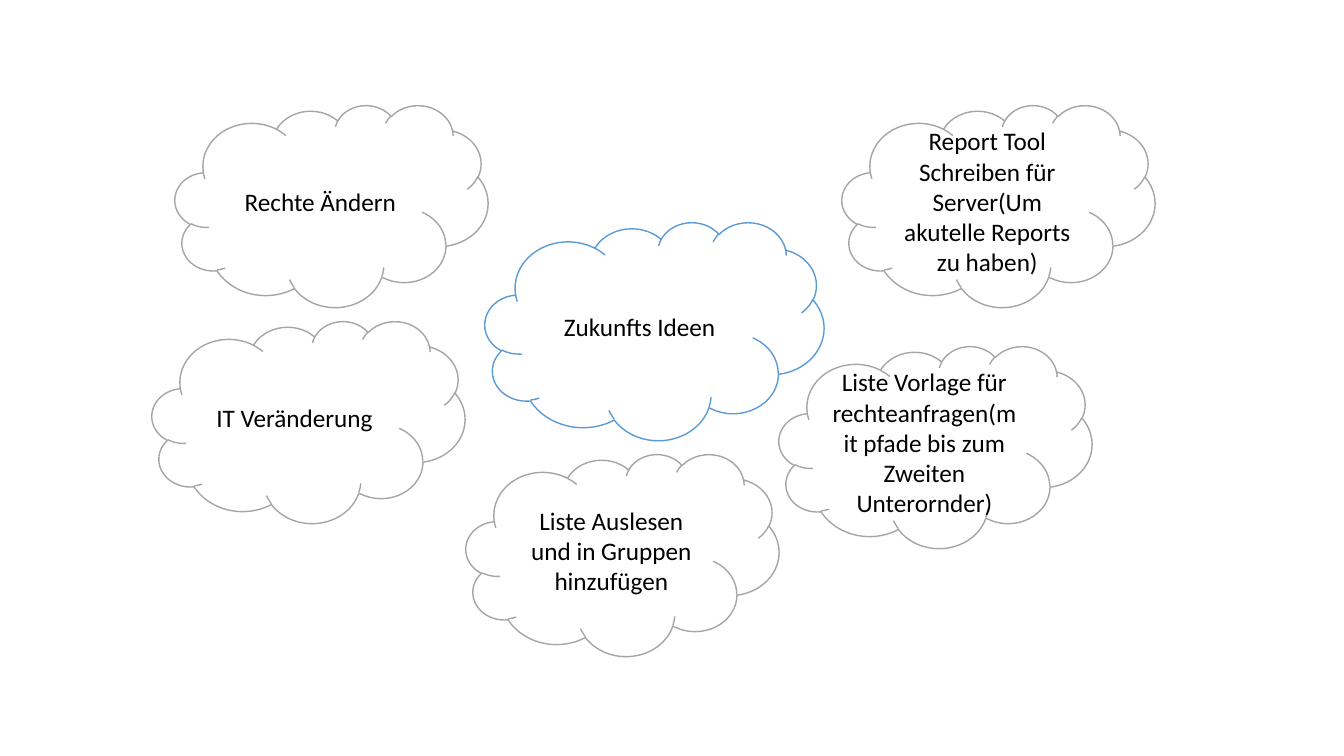
"""Build a slide of idea clouds around a central topic."""
from pptx import Presentation
from pptx.dml.color import RGBColor
from pptx.enum.shapes import MSO_SHAPE
from pptx.enum.text import MSO_ANCHOR, PP_ALIGN
from pptx.util import Pt

PX = 914400 / 100.8
WHITE = RGBColor(0xFF, 0xFF, 0xFF)
BLACK = RGBColor(0x00, 0x00, 0x00)
BLUE = RGBColor(0x5B, 0x9B, 0xD5)
GRAY = RGBColor(0xA5, 0xA5, 0xA5)
TOPIC_SIZE = (339, 218)
IDEA_SIZE = (313, 202)
FONT = {"name": "Calibri", "size": Pt(18)}


def px(n):
    return round(n * PX)


prs = Presentation()
prs.slide_width, prs.slide_height = px(1344), px(756)
s = prs.slides.add_slide(prs.slide_layouts[6])

clouds = [
    (485, 222, TOPIC_SIZE, BLUE, "Zukunfts Ideen "),
    (152, 321, IDEA_SIZE, GRAY, "IT Veränderung "),
    (175, 105, IDEA_SIZE, GRAY, "Rechte Ändern"),
    (466, 454, IDEA_SIZE, GRAY, "Liste Auslesen und in Gruppen hinzufügen"),
    (779, 346, IDEA_SIZE, GRAY,
     "Liste Vorlage für rechteanfragen(mit pfade bis zum Zweiten Unterornder)"),
    (842, 105, IDEA_SIZE, GRAY,
     "Report Tool Schreiben für Server(Um akutelle Reports zu haben)"),
]
for x, y, (w, h), color, text in clouds:
    sp = s.shapes.add_shape(MSO_SHAPE.CLOUD, px(x), px(y), px(w), px(h))
    sp.shadow.inherit = False
    sp.fill.solid()
    sp.fill.fore_color.rgb = WHITE
    sp.line.color.rgb = color
    sp.line.width = Pt(1)
    tf = sp.text_frame
    tf.word_wrap = True
    tf.vertical_anchor = MSO_ANCHOR.MIDDLE
    p = tf.paragraphs[0]
    p.alignment = PP_ALIGN.CENTER
    r = p.add_run()
    r.text = text
    for key, value in FONT.items():
        setattr(r.font, key, value)
    r.font.color.rgb = BLACK

prs.save("out.pptx")
